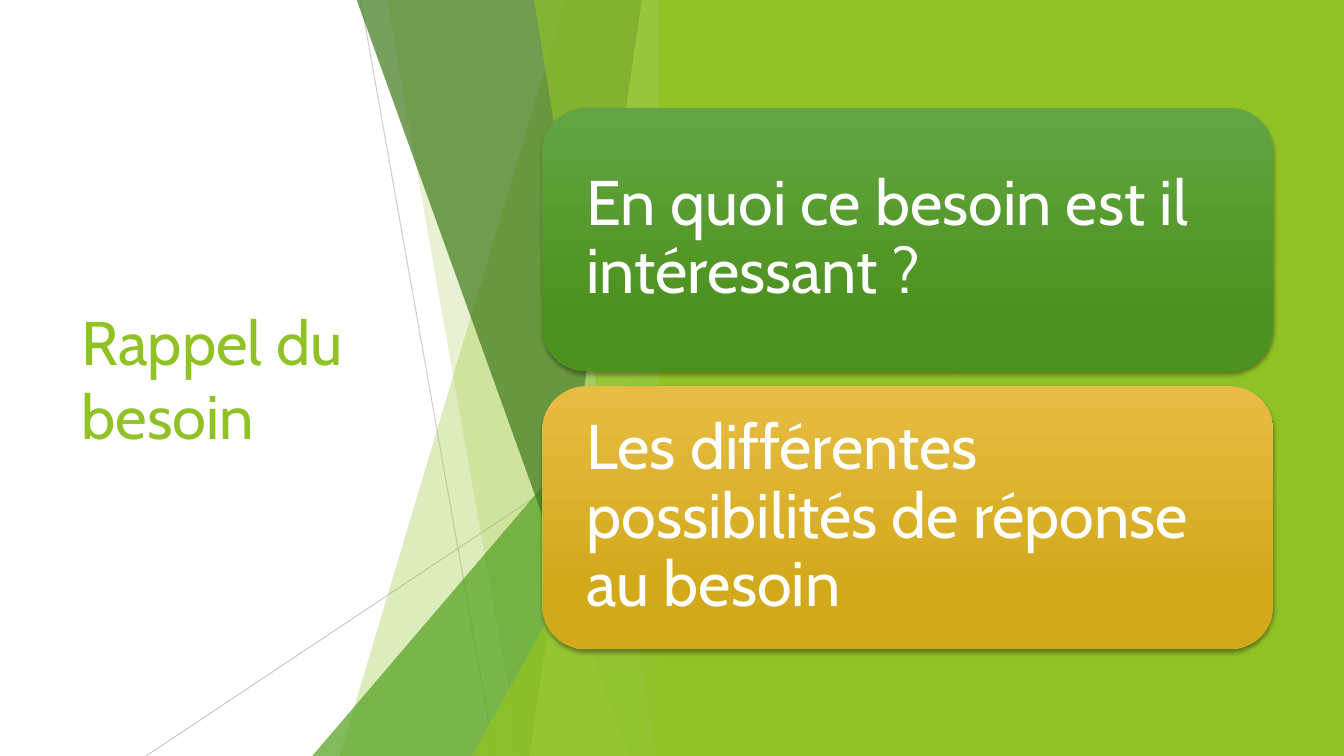
from lxml import etree
from pptx import Presentation
from pptx import util as u
from pptx.dml.color import RGBColor
from pptx.enum import shapes, text
from pptx.oxml.ns import qn

FONT = "Cabin"
WHITE = RGBColor(0xFF, 0xFF, 0xFF)
GREY = RGBColor(0xBF, 0xBF, 0xBF)
LIME = RGBColor(0x90, 0xC2, 0x26)
PALE_LIME = RGBColor(0xC0, 0xE4, 0x74)
GREEN = RGBColor(0x54, 0xA0, 0x21)
DARK_GREEN = RGBColor(0x3F, 0x78, 0x19)
CARD_GREEN = (RGBColor(0x63, 0xA5, 0x45), RGBColor(0x4D, 0x92, 0x1E))
CARD_GOLD = (RGBColor(0xE7, 0xBC, 0x43), RGBColor(0xD2, 0xA9, 0x1B))
WIDTH, HEIGHT = 33.87, 19.05
FACET_RIGHT = 16.92
CARD_TOP, CARD_HEIGHT, CARD_PITCH = 2.72, 6.63, 7.01


class Deck:
    """Hold the style and the current slide, and draw each kind of element."""

    def __init__(self):
        self.prs = Presentation()
        self.prs.slide_width, self.prs.slide_height = u.Cm(WIDTH), u.Cm(HEIGHT)
        self.s = self.prs.slides.add_slide(self.prs.slide_layouts[5])

    def alpha(self, element, percent):
        """Set the opacity of the colour inside an element."""
        colour = next(element.iter(qn("a:srgbClr")))
        etree.SubElement(colour, qn("a:alpha"), val=str(percent * 1000))

    def paint(self, sp, colour, opacity=100):
        """Give a shape a flat fill without line or shadow."""
        sp.shadow.inherit = False
        sp.fill.solid()
        sp.fill.fore_color.rgb = colour
        sp.line.fill.background()
        if opacity < 100:
            self.alpha(sp._element.spPr, opacity)

    def label(self, sp, words, size, colour, inset, spacing):
        """Set left-aligned text in the middle of a shape."""
        tf = sp.text_frame
        tf.text = words
        frame = {"word_wrap": True, "auto_size": text.MSO_AUTO_SIZE.NONE,
                 "vertical_anchor": text.MSO_ANCHOR.MIDDLE,
                 "margin_left": u.Cm(inset), "margin_right": u.Cm(inset)}
        for name, value in frame.items():
            setattr(tf, name, value)
        p = tf.paragraphs[0]
        p.alignment = text.PP_ALIGN.LEFT
        p.line_spacing = spacing
        r = p.runs[0]
        for name, value in {"name": FONT, "size": u.Pt(size)}.items():
            setattr(r.font, name, value)
        r.font.color.rgb = colour

    def title(self, words, left, top, width, height):
        """Place and fill the title placeholder."""
        sp = self.s.shapes.title
        box = {"left": left, "top": top, "width": width, "height": height}
        for name, value in box.items():
            setattr(sp, name, u.Cm(value))
        self.label(sp, words, 44, LIME, 0.25, 1.0)

    def line(self, x1, y1, x2, y2, opacity):
        """Draw a thin grey line."""
        sp = self.s.shapes.add_connector(
            shapes.MSO_CONNECTOR.STRAIGHT, *map(u.Cm, (x1, y1, x2, y2)))
        sp.line.color.rgb = GREY
        sp.line.width = u.Pt(0.75)
        self.alpha(sp._element.spPr, opacity)
        etree.SubElement(sp._element.spPr, qn("a:effectLst"))

    def facet(self, top_x, bottom_x, colour, opacity):
        """Draw a full-height facet with a slanted left side."""
        corners = [(FACET_RIGHT, 0), (FACET_RIGHT, HEIGHT), (bottom_x, HEIGHT)]
        fb = self.s.shapes.build_freeform(u.Cm(top_x), 0)
        fb.add_line_segments([(u.Cm(x), u.Cm(y)) for x, y in corners])
        self.paint(fb.convert_to_shape(), colour, opacity)

    def triangle(self, left, top, colour, opacity):
        """Draw a right triangle in the bottom corner of the facets."""
        sp = self.s.shapes.add_shape(
            shapes.MSO_SHAPE.ISOSCELES_TRIANGLE,
            *map(u.Cm, (left, top, FACET_RIGHT - left, HEIGHT - top)))
        sp.adjustments[0] = 1
        self.paint(sp, colour, opacity)

    def panel(self, left, colour):
        """Fill the slide from left to its right edge."""
        sp = self.s.shapes.add_shape(
            shapes.MSO_SHAPE.RECTANGLE,
            *map(u.Cm, (left, 0, WIDTH - left, HEIGHT)))
        self.paint(sp, colour)

    def card(self, words, top, colours):
        """Draw a rounded gradient card with a soft shadow and text."""
        sp = self.s.shapes.add_shape(
            shapes.MSO_SHAPE.ROUNDED_RECTANGLE,
            *map(u.Cm, (13.67, top, 18.42, CARD_HEIGHT)))
        sp.fill.gradient()
        sp.fill.gradient_angle = 270
        for stop, colour, position in zip(sp.fill.gradient_stops, colours, (0, 0.78)):
            stop.color.rgb = colour
            stop.position = position
        sp.line.fill.background()
        sp.shadow.inherit = False
        effects = sp._element.spPr.find(qn("a:effectLst"))
        shadow = etree.SubElement(
            effects, qn("a:outerShdw"), blurRad=str(u.Pt(3)), dist=str(u.Pt(2)),
            dir="5400000", algn="ctr", rotWithShape="0")
        etree.SubElement(shadow, qn("a:srgbClr"), val="000000")
        self.alpha(shadow, 35)
        self.label(sp, words, 45, WHITE, 0.79, 0.9)


def main():
    """Build the slide and save it."""
    deck = Deck()
    deck.title("Rappel du besoin", 1.8, 3.84, 9.86, 11.38)
    deck.line(9.09, 0, 12.47, HEIGHT, 75)
    deck.line(FACET_RIGHT, 10.24, 3.68, HEIGHT, 80)
    deck.facet(14.25, 8.56, LIME, 30)
    deck.facet(9.75, 13.11, LIME, 20)
    deck.triangle(7.87, 8.46, GREEN, 72)
    deck.facet(8.99, 15.85, DARK_GREEN, 70)
    deck.facet(16.18, 13.34, PALE_LIME, 70)
    deck.facet(13.46, 16.54, LIME, 65)
    deck.triangle(11.89, 9.98, LIME, 80)
    deck.panel(16.61, LIME)
    cards = [("En quoi ce besoin est il intéressant ?", CARD_GREEN),
             ("Les différentes possibilités de réponse au besoin", CARD_GOLD)]
    for i, (words, colours) in enumerate(cards):
        deck.card(words, CARD_TOP + i * CARD_PITCH, colours)
    deck.prs.save("out.pptx")


if __name__ == "__main__":
    main()
